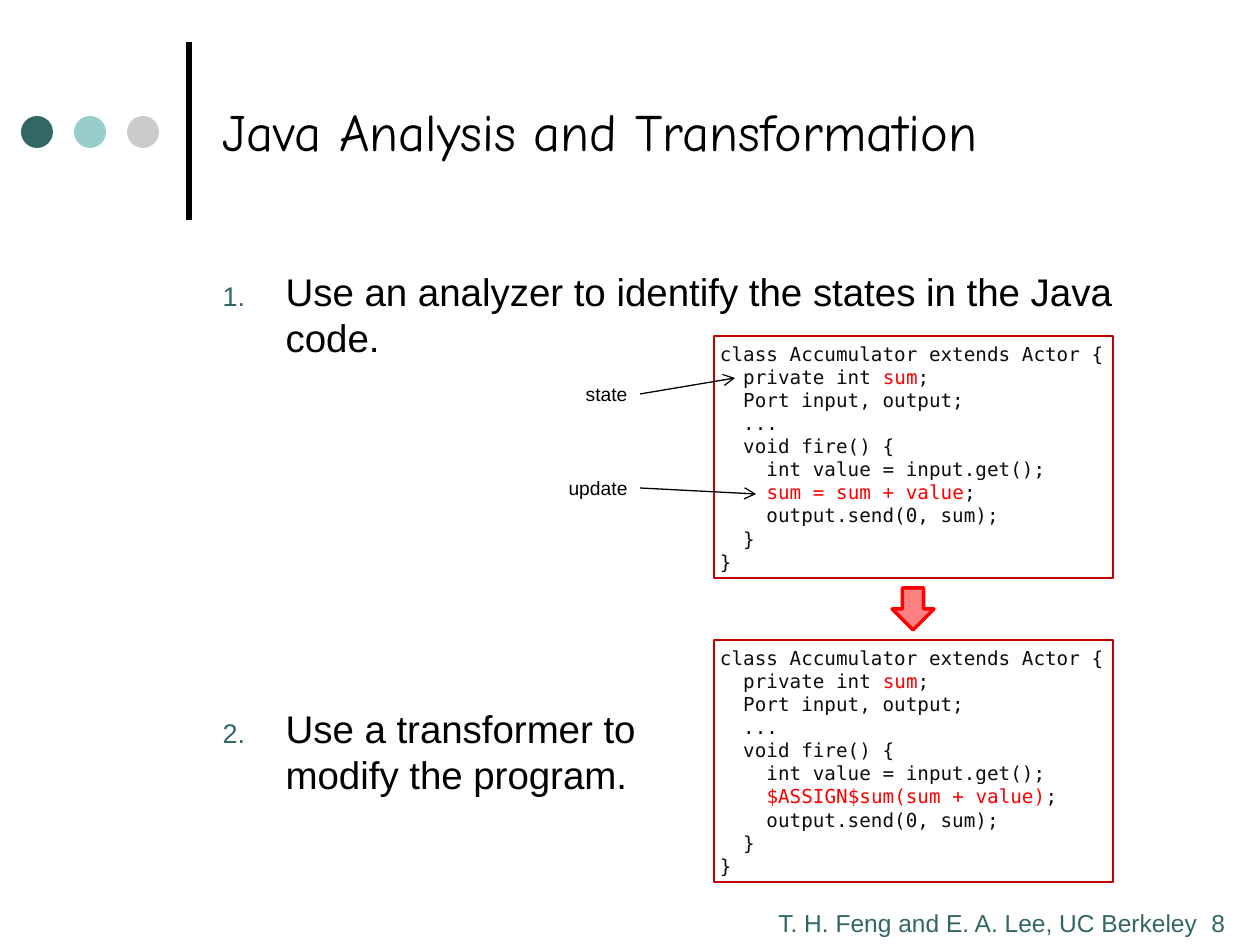
from lxml import etree
from pptx import Presentation
from pptx.dml.color import RGBColor
from pptx.enum.shapes import MSO_CONNECTOR, MSO_SHAPE
from pptx.enum.text import MSO_ANCHOR, MSO_AUTO_SIZE, PP_ALIGN
from pptx.oxml.ns import qn
from pptx.util import Emu, Pt

ELLIPSE, RECTANGLE, DOWN_ARROW = MSO_SHAPE.OVAL, MSO_SHAPE.RECTANGLE, MSO_SHAPE.DOWN_ARROW
STRAIGHT = MSO_CONNECTOR.STRAIGHT
TOP, MIDDLE = MSO_ANCHOR.TOP, MSO_ANCHOR.MIDDLE
LEFT, RIGHT = PP_ALIGN.LEFT, PP_ALIGN.RIGHT
NO_AUTOFIT = MSO_AUTO_SIZE.NONE

PX_PER_INCH = 126
TEAL, BLACK, RED = "336666", "000000", "FF0000"
CODE_COLOR = "0D0D0D"
SANS, HAND, MONO = "Arial", "Comic Neue", "DejaVu Sans Mono"

CODE_LEFT, CODE_WIDTH, CODE_HEIGHT = 714, 399, 242
LABEL_RIGHT, LABEL_HEIGHT = 640, 32


def px(length):
    return Emu(round(length * 914400 / PX_PER_INCH))


def rgb(hex_color):
    return RGBColor.from_string(hex_color)


def add_xml(parent, tag, **attributes):
    return etree.SubElement(parent, qn(tag), attributes)


def write(para, text, *, size, font=SANS, color=BLACK, align=LEFT):
    """Add one formatted span to a paragraph."""
    para.alignment = align
    span = para.add_run()
    span.text = text
    span.font.size = Pt(size)
    span.font.name = font
    span.font.color.rgb = rgb(color)


def set_frame(frame, anchor=TOP, inset=None):
    frame.word_wrap = True
    frame.auto_size = NO_AUTOFIT
    frame.vertical_anchor = anchor
    if inset is not None:
        frame.margin_left = frame.margin_right = px(inset)
        frame.margin_top = frame.margin_bottom = px(inset)


def place(shape, left, top, width, height):
    shape.left, shape.top = px(left), px(top)
    shape.width, shape.height = px(width), px(height)


def add_shape(page, kind, left, top, width, height, fill, line=None, line_width=1):
    shape = page.shapes.add_shape(kind, px(left), px(top), px(width), px(height))
    shape.shadow.inherit = False
    shape.fill.solid()
    shape.fill.fore_color.rgb = rgb(fill)
    if line:
        shape.line.color.rgb = rgb(line)
        shape.line.width = Pt(line_width)
    else:
        shape.line.fill.background()
    return shape


def add_line(page, start, end, width, arrow=False):
    line = page.shapes.add_connector(STRAIGHT, *map(px, start + end))
    line.line.color.rgb = rgb(BLACK)
    line.line.width = Pt(width)
    properties = line._element.spPr
    if arrow:
        add_xml(properties.find(qn("a:ln")), "a:tailEnd", type="arrow")
    add_xml(properties, "a:effectLst")


def add_text_box(page, left, top, width, height, anchor=TOP):
    box = page.shapes.add_textbox(px(left), px(top), px(width), px(height))
    set_frame(box.text_frame, anchor)
    return box.text_frame.paragraphs[0]


def add_label(page, text, top, width, tip):
    """Add a right-aligned label with an arrow from it to tip."""
    middle = top + LABEL_HEIGHT // 2
    add_line(page, (LABEL_RIGHT, middle), tip, 0.75, arrow=True)
    para = add_text_box(page, LABEL_RIGHT - width, top, width, LABEL_HEIGHT, MIDDLE)
    write(para, text, size=11, align=RIGHT)


def add_code(page, top, update):
    """Add the class listing, with the given update statement in red."""
    box = add_shape(page, RECTANGLE, CODE_LEFT, top, CODE_WIDTH, CODE_HEIGHT,
                    "FFFFFF", "C00000", 1.5)
    color = box._element.spPr.find(qn("a:solidFill"))[0]
    add_xml(color, "a:alpha", val="60000")
    frame = box.text_frame
    set_frame(frame, inset=6)
    lines = [
        ("class Accumulator extends Actor {",),
        ("  private int ", "sum", ";"),
        ("  Port input, output;",),
        ("  ...",),
        ("  void fire() {",),
        ("    int value = input.get();",),
        ("    ", update, ";"),
        ("    output.send(0, sum);",),
        ("  }",),
        ("}",),
    ]
    for number, parts in enumerate(lines):
        para = frame.add_paragraph() if number else frame.paragraphs[0]
        for position, text in enumerate(parts):
            write(para, text, size=11, font=MONO,
                  color=RED if position == 1 else CODE_COLOR)


def number_paragraph(para):
    """Give a paragraph an automatic teal number and a hanging indent."""
    properties = para._p.get_or_add_pPr()
    properties.set("marL", str(px(63)))
    properties.set("indent", str(-px(63)))
    add_xml(add_xml(properties, "a:buClr"), "a:srgbClr", val=TEAL)
    add_xml(properties, "a:buSzPct", val="70000")
    add_xml(properties, "a:buFont", typeface=SANS)
    add_xml(properties, "a:buAutoNum", type="arabicPeriod")


def add_decoration(page):
    add_line(page, (189, 220), (189, 42), 3)
    for column, color in enumerate((TEAL, "99CCCC", "CCCCCC")):
        add_shape(page, ELLIPSE, 21 + 53 * column, 116, 32, 32, color)


def add_footer(page):
    para = add_text_box(page, 766, 902, 494, 43)
    tabs = add_xml(para._p.get_or_add_pPr(), "a:tabLst")
    add_xml(tabs, "a:tab", pos=str(px(433)), algn="l")
    write(para, "T. H. Feng and E. A. Lee, UC Berkeley\t8", size=14, color=TEAL)


def fill_title(title):
    place(title, 210, 26, 1018, 210)
    set_frame(title.text_frame, MIDDLE)
    write(title.text_frame.paragraphs[0], "Java Analysis and Transformation",
          size=30, font=HAND)


def fill_steps(body):
    place(body, 210, 262, 1018, 630)
    frame = body.text_frame
    set_frame(frame)
    first, second = frame.paragraphs[0], frame.add_paragraph()
    for para in (first, second):
        number_paragraph(para)
    first.space_before = Pt(0)
    second.space_before = Pt(196.5)
    write(first, "Use an analyzer to identify the states in the Java code.", size=22)
    write(second, "Use a transformer to", size=22)
    second.add_line_break()
    write(second, "modify the program.", size=22)


def main():
    deck = Presentation()
    deck.slide_width, deck.slide_height = px(1260), px(945)
    page = deck.slides.add_slide(deck.slide_layouts[1])
    add_decoration(page)
    add_footer(page)
    fill_title(page.shapes.title)
    fill_steps(page.placeholders[1])
    add_code(page, 336, "sum = sum + value")
    add_label(page, "state", 378, 73, (735, 378))
    add_label(page, "update", 472, 94, (756, 494))
    add_code(page, 640, "$ASSIGN$sum(sum + value)")
    add_shape(page, DOWN_ARROW, 892, 588, 42, 42, "FF8080", RED, 2)
    deck.save("out.pptx")


if __name__ == "__main__":
    main()
